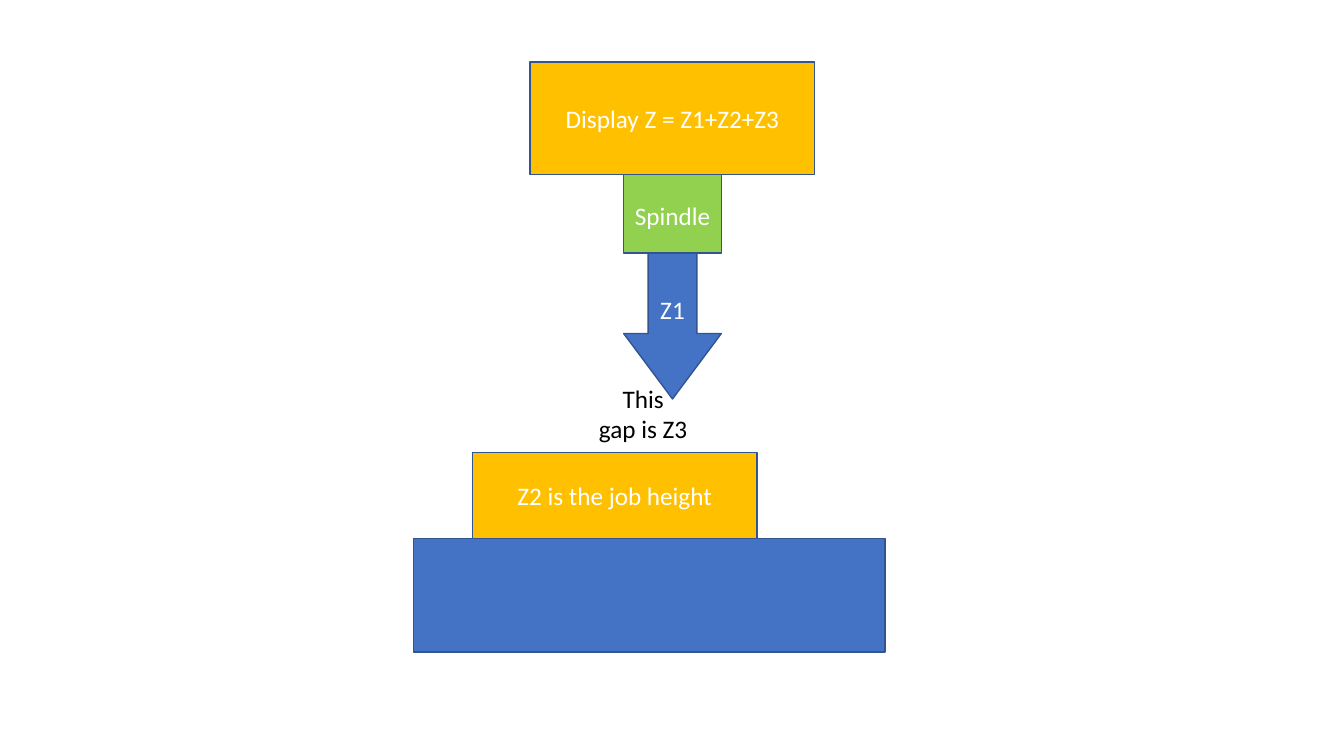
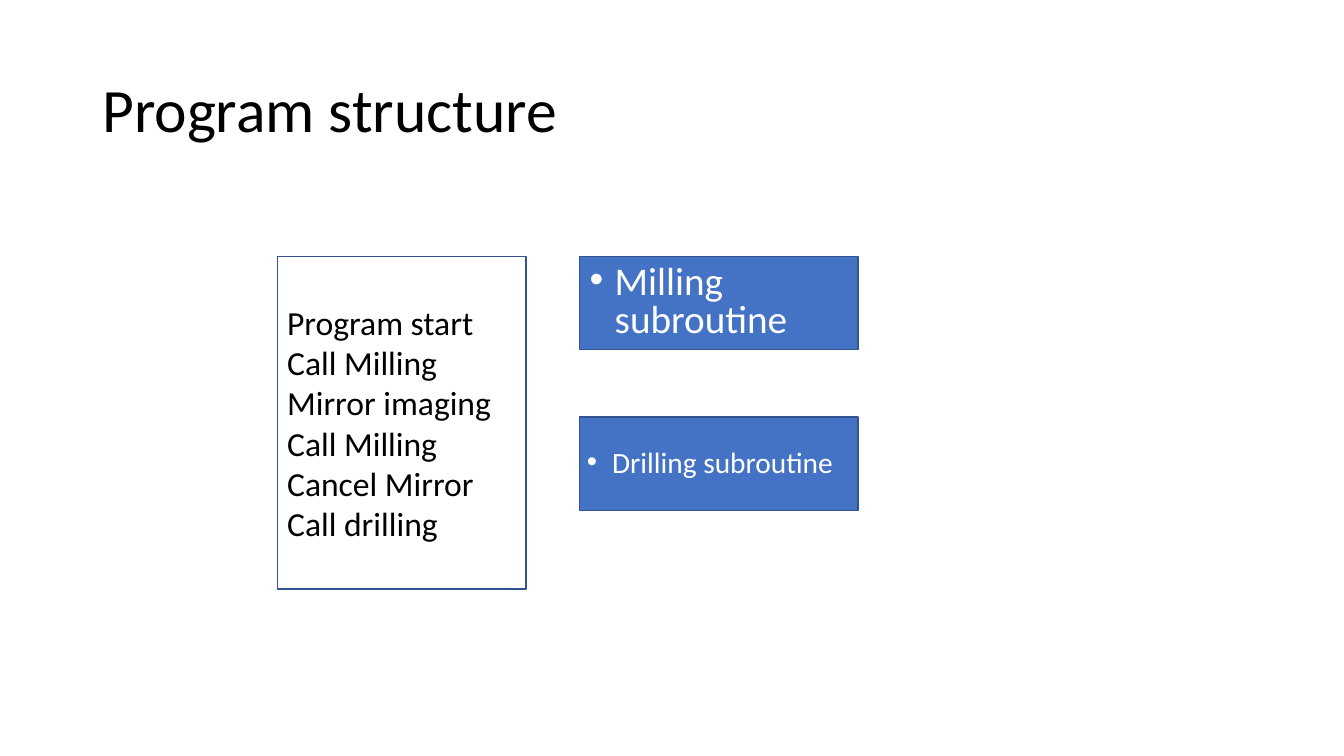
from dataclasses import dataclass
from lxml import etree
from pptx import Presentation
from pptx.dml.color import RGBColor
from pptx.enum.shapes import MSO_SHAPE
from pptx.enum.text import MSO_ANCHOR, PP_ALIGN
from pptx.oxml.ns import qn
from pptx.util import Emu, Pt

RECT = MSO_SHAPE.RECTANGLE
STEP = MSO_SHAPE.FLOWCHART_PROCESS
ARROW = MSO_SHAPE.DOWN_ARROW
TOP, MID = MSO_ANCHOR.TOP, MSO_ANCHOR.MIDDLE
LEFT, CENTER = PP_ALIGN.LEFT, PP_ALIGN.CENTER
SCALE = 9525


@dataclass(frozen=True)
class Theme:
    font: str = "Calibri"
    blue: str = "4472C4"
    edge: str = "325491"
    gold: str = "FFC000"
    green: str = "92D050"
    white: str = "FFFFFF"
    black: str = "000000"
    head: int = 44
    large: int = 28
    list: int = 24
    small: int = 21
    label: int = 18


THEME = Theme()


def px(value):
    return Emu(value * SCALE)


def color(value):
    return RGBColor.from_string(value)


def bullet(para, indent):
    props = para._p.get_or_add_pPr()
    props.set("marL", str(px(indent)))
    props.set("indent", str(-px(indent)))
    etree.SubElement(props, qn("a:buFont")).set("typeface", "Arial")
    etree.SubElement(props, qn("a:buChar")).set("char", "•")


def write(shape, *lines, size=THEME.label, ink=THEME.white, align=CENTER,
          anchor=MID, space=None, before=None, indent=0, pad=None):
    frame = shape.text_frame
    frame.word_wrap = True
    frame.vertical_anchor = anchor
    if pad:
        (frame.margin_left, frame.margin_top,
         frame.margin_right, frame.margin_bottom) = map(px, pad)
    for index, line in enumerate(lines):
        para = frame.add_paragraph() if index else frame.paragraphs[0]
        para.alignment = align
        if space:
            para.line_spacing = space
        if before:
            para.space_before = Pt(before)
        if indent:
            bullet(para, indent)
        run = para.add_run()
        run.text = line
        run.font.name = THEME.font
        run.font.size = Pt(size)
        run.font.color.rgb = color(ink)


def block(slide, x, y, w, h, fill=None, kind=RECT):
    shape = slide.shapes.add_shape(kind, px(x), px(y), px(w), px(h))
    shape.shadow.inherit = False
    if fill:
        shape.fill.solid()
        shape.fill.fore_color.rgb = color(fill)
    else:
        shape.fill.background()
    shape.line.color.rgb = color(THEME.edge)
    shape.line.width = Pt(1)
    return shape


def label(slide, x, y, w, h, *lines, **style):
    box = slide.shapes.add_textbox(px(x), px(y), px(w), px(h))
    write(box, *lines, **style)


def machine(slide, x, y):
    wide, thin = 271, 93
    tool = x + (wide - thin) // 2
    arrow = block(slide, tool, y + 182, thin, 139, THEME.blue, ARROW)
    arrow.adjustments[0] = 0.5
    arrow.adjustments[1] = 0.67
    write(arrow, "Z1")
    spindle = block(slide, tool, y + 23, thin, 159, THEME.green)
    write(spindle, "Spindle", pad=(5, 93, 5, 5))
    write(block(slide, x, y, wide, 107, THEME.gold), "Display Z = Z1+Z2+Z3")


def bench(slide, x, y):
    block(slide, x, y + 82, 449, 108, THEME.blue)
    job = block(slide, x + 56, y, 271, 82, THEME.gold)
    write(job, "Z2 is the job height")


def heights(slide):
    bench(slide, 394, 431)
    machine(slide, 505, 59)
    label(slide, 450, 360, 325, 68, "This", "gap is Z3",
          ink=THEME.black, anchor=TOP)


def title(slide, text):
    label(slide, 88, 38, 1104, 139, text, size=THEME.head,
          ink=THEME.black, align=LEFT, space=0.9)


def steps(slide, x, y):
    write(block(slide, x, y, 237, 317, kind=STEP),
          "Program start", "Call Milling", "Mirror imaging",
          "Call Milling", "Cancel Mirror", "Call drilling",
          size=THEME.list, ink=THEME.black, align=LEFT)


def routines(slide, x, y):
    items = (
        ("Milling subroutine", THEME.large, 0.8, None),
        ("Drilling subroutine", THEME.small, 0.9, (7, 4, 7, 4)),
    )
    for row, (text, size, space, pad) in enumerate(items):
        box = block(slide, x, y + row * 153, 265, 89, THEME.blue, STEP)
        write(box, text, size=size, align=LEFT, space=space,
              before=10, indent=24, pad=pad)


def program(slide):
    title(slide, "Program structure")
    steps(slide, 264, 244)
    routines(slide, 552, 244)


def main():
    deck = Presentation()
    deck.slide_width, deck.slide_height = px(1280), px(720)
    blank = deck.slide_layouts[6]
    for build in (heights, program):
        build(deck.slides.add_slide(blank))
    deck.save("out.pptx")


if __name__ == "__main__":
    main()
